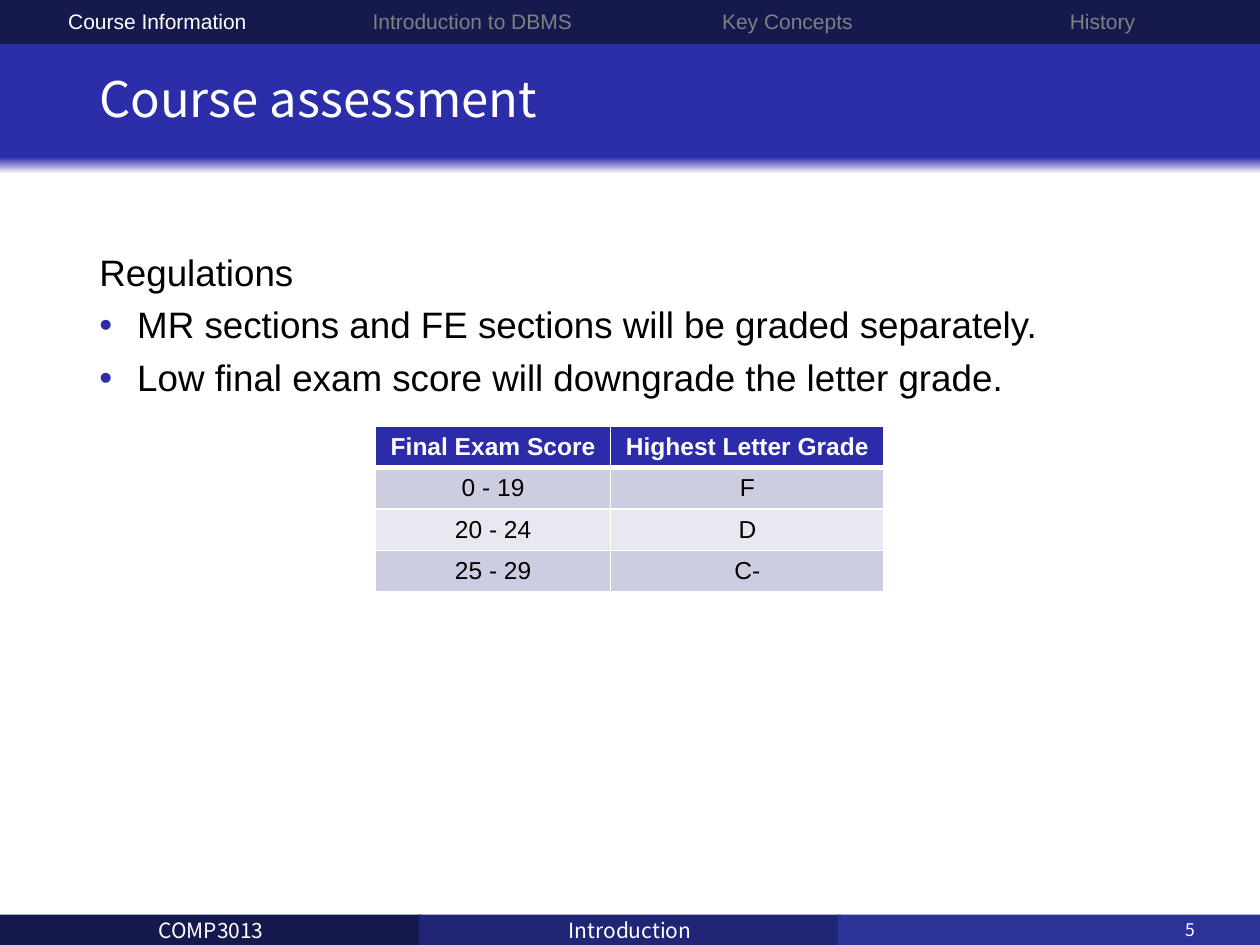
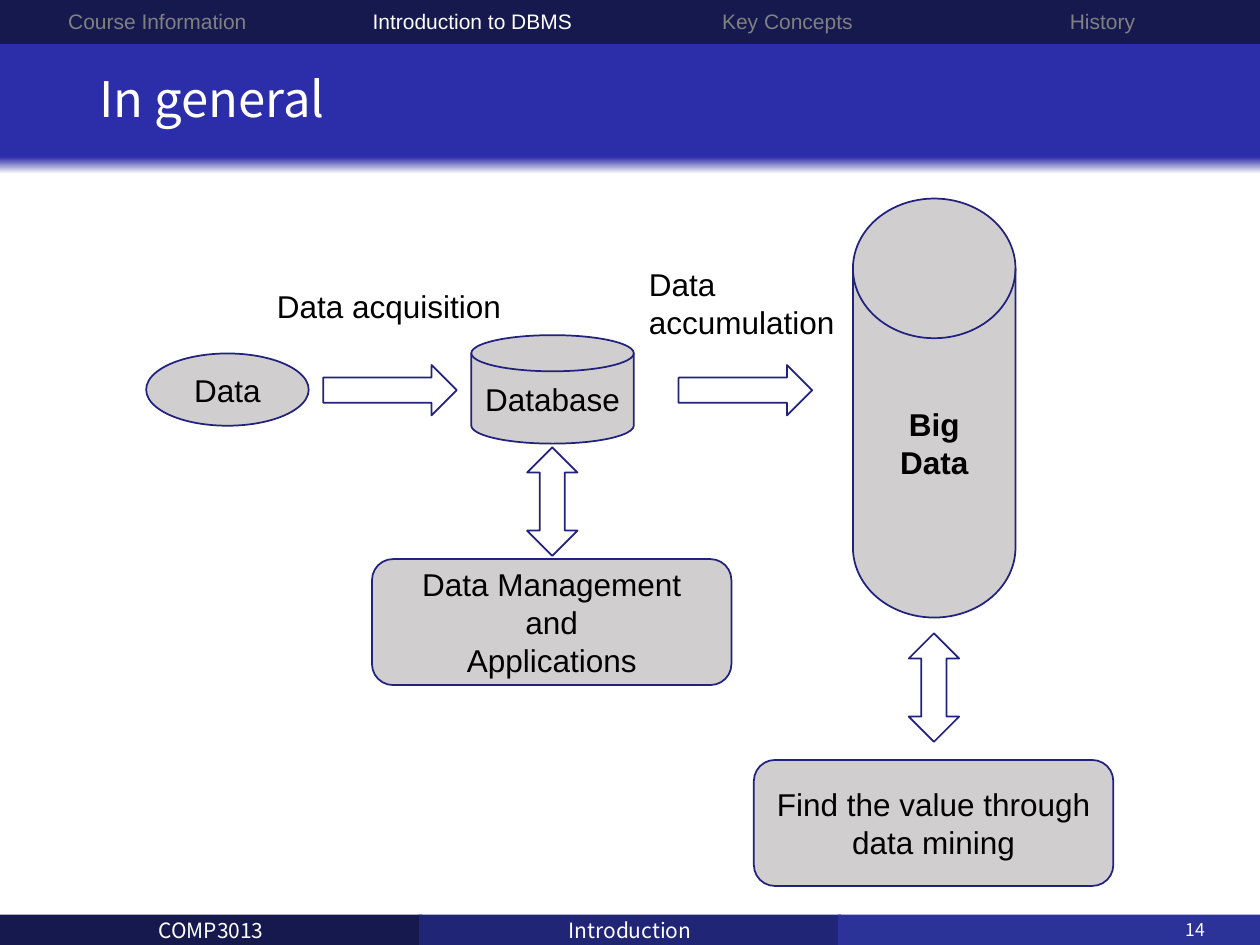
from lxml import etree
from pptx import Presentation
from pptx import util as u
from pptx.dml.color import RGBColor
from pptx.enum import shapes, text
from pptx.oxml import ns

Pt = u.Pt
SHAPE = shapes.MSO_SHAPE
ALIGN = text.PP_ALIGN
MIDDLE = text.MSO_ANCHOR.MIDDLE

WHITE = RGBColor(0xFF, 0xFF, 0xFF)
BLACK = RGBColor(0, 0, 0)
MUTED = RGBColor(0x80, 0x80, 0x80)
NAVY = RGBColor(0x16, 0x19, 0x4D)
INDIGO = RGBColor(0x21, 0x25, 0x75)
ROYAL = RGBColor(0x2B, 0x32, 0x98)
BAND = RGBColor(0x2C, 0x2D, 0xA9)
ACCENT = RGBColor(0x2C, 0x2C, 0xAA)
OUTLINE = RGBColor(0x21, 0x21, 0x7E)
GREY = RGBColor(0xD0, 0xCE, 0xCE)
ROW_DARK = RGBColor(0xCD, 0xCD, 0xE2)
ROW_LIGHT = RGBColor(0xE8, 0xE8, 0xF1)

WIDTH, HEIGHT = 720, 540
BODY_FONT = "Arial"
HEAD_FONT = "Noto Sans CJK SC"
NUMBER_FONT = "Noto Sans CJK JP"
SECTIONS = ["Course Information", "Introduction to DBMS", "Key Concepts", "History"]
FOOTERS = [("COMP3013", NAVY), ("Introduction", INDIGO), ("", ROYAL)]
FOOTER_TOP, FOOTER_HEIGHT = 522.7, 17.3


def add_element(parent, tag, **attributes):
    return etree.SubElement(parent, ns.qn(tag), attributes)


class SlideBuilder:
    """Holds the deck style and the slide being built."""

    def __init__(self, deck):
        self.deck = deck
        self.page = None

    def add_span(self, para, words, size, color=BLACK, font=BODY_FONT, bold=False):
        span = para.add_run()
        span.text = words
        span.font.size = Pt(size)
        span.font.name = font
        span.font.bold = bold
        span.font.color.rgb = color

    def fill_frame(self, frame, lines, size, align, wrap=True, **style):
        frame.word_wrap = wrap
        frame.vertical_anchor = MIDDLE
        for index, words in enumerate(lines):
            para = frame.add_paragraph() if index else frame.paragraphs[0]
            para.alignment = align
            self.add_span(para, words, size, **style)

    def shape(self, kind, left, top, width, height, fill=None, line=None,
              lines=(), size=18, wrap=True, **style):
        shape = self.page.shapes.add_shape(
            kind, Pt(left), Pt(top), Pt(width), Pt(height))
        shape.shadow.inherit = False
        if fill is not None:
            shape.fill.solid()
            shape.fill.fore_color.rgb = fill
        if line is None:
            shape.line.fill.background()
        else:
            shape.line.color.rgb = line
            shape.line.width = Pt(1)
        self.fill_frame(shape.text_frame, lines, size, ALIGN.CENTER, wrap, **style)
        return shape

    def label(self, left, top, width, height, lines, size=18, wrap=True, **style):
        box = self.page.shapes.add_textbox(Pt(left), Pt(top), Pt(width), Pt(height))
        self.fill_frame(box.text_frame, lines, size, ALIGN.LEFT, wrap, **style)
        return box

    def start_page(self, title, number, section):
        self.page = self.deck.slides.add_slide(self.deck.slide_layouts[6])
        # Footer strip
        for index, (words, color) in enumerate(FOOTERS):
            self.shape(SHAPE.RECTANGLE, index * 239.4, FOOTER_TOP, 241.2,
                       FOOTER_HEIGHT, color, lines=[words] if words else [],
                       size=12, color=WHITE, font=HEAD_FONT)
        self.label(670.3, FOOTER_TOP, 43.2, FOOTER_HEIGHT, [str(number)], 10,
                   color=WHITE, font=NUMBER_FONT)
        # Title band fading to white at its lower edge
        band = self.shape(SHAPE.RECTANGLE, 0, 25.2, WIDTH, 74.2)
        band.fill.gradient()
        band.fill.gradient_angle = 90
        for stop, (position, color) in zip(band.fill.gradient_stops,
                                           [(0, WHITE), (0.13, BAND)]):
            stop.position = position
            stop.color.rgb = color
        heading = self.label(49.7, 25.2, 620.6, 66.2, [title], 28,
                             color=WHITE, font=HEAD_FONT)
        heading.text_frame.paragraphs[0].line_spacing = 0.9
        # Section bar with the current section lit
        step = WIDTH / len(SECTIONS)
        for index, name in enumerate(SECTIONS):
            self.shape(SHAPE.RECTANGLE, index * step, 0, step, 24.5, NAVY, NAVY,
                       [name], 12, color=WHITE if name == section else MUTED)

    def bullet(self, para):
        properties = para._p.get_or_add_pPr()
        properties.set("marL", str(Pt(21.6)))
        properties.set("indent", str(-Pt(21.6)))
        color = add_element(properties, "a:buClr")
        add_element(color, "a:srgbClr", val=str(ACCENT))
        add_element(properties, "a:buFont", typeface=BODY_FONT)
        add_element(properties, "a:buChar", char="•")

    def bullet_list(self, left, top, width, height, heading, items):
        box = self.page.shapes.add_textbox(Pt(left), Pt(top), Pt(width), Pt(height))
        frame = box.text_frame
        frame.word_wrap = True
        for index, words in enumerate([heading, *items]):
            para = frame.add_paragraph() if index else frame.paragraphs[0]
            if index:
                self.bullet(para)
                para.space_before = Pt(7.5)
            para.line_spacing = 0.9
            self.add_span(para, words, 21)

    def cell_borders(self, cell, widths):
        properties = cell._tc.get_or_add_tcPr()
        for side, width in widths.items():
            line = add_element(properties, f"a:ln{side}", w=str(Pt(width)))
            fill = add_element(line, "a:solidFill")
            add_element(fill, "a:srgbClr", val=str(WHITE))

    def table(self, left, top, column_widths, row_height, rows):
        table = self.page.shapes.add_table(
            len(rows), len(column_widths), Pt(left), Pt(top),
            Pt(sum(column_widths)), Pt(row_height * len(rows))).table
        for column, width in zip(table.columns, column_widths):
            column.width = Pt(width)
        for r, values in enumerate(rows):
            table.rows[r].height = Pt(row_height)
            header = r == 0
            fill = ACCENT if header else (ROW_DARK if r % 2 else ROW_LIGHT)
            for c, words in enumerate(values):
                cell = table.cell(r, c)
                self.cell_borders(cell, {"L": 1, "R": 1, "T": 3 if r == 1 else 1,
                                         "B": 3 if header else 1})
                cell.fill.solid()
                cell.fill.fore_color.rgb = fill
                cell.margin_left = cell.margin_right = Pt(3.4)
                cell.margin_top = cell.margin_bottom = Pt(3.4)
                cell.vertical_anchor = MIDDLE
                para = cell.text_frame.paragraphs[0]
                para.alignment = ALIGN.CENTER
                self.add_span(para, words, 14, WHITE if header else BLACK,
                              bold=header)

    def node(self, kind, left, top, width, height, lines, **style):
        self.shape(kind, left, top, width, height, GREY, OUTLINE, lines, **style)

    def arrow(self, kind, left, top, width, rotation=0):
        arrow = self.shape(kind, left, top, width, 28.8, WHITE, OUTLINE)
        arrow.rotation = rotation

    def caption(self, left, top, width, height, lines):
        box = self.label(left, top, width, height, lines, wrap=False)
        box.text_frame.auto_size = text.MSO_AUTO_SIZE.SHAPE_TO_FIT_TEXT


def build_assessment(builder):
    builder.start_page("Course assessment", 5, "Course Information")
    builder.bullet_list(49.7, 141.8, 620.6, 257, "Regulations", [
        "MR sections and FE sections will be graded separately.",
        "Low final exam score will downgrade the letter grade."])
    builder.table(214.6, 243.7, [134.4, 156.2], 22.8, [
        ("Final Exam Score", "Highest Letter Grade"),
        ("0 - 19", "F"),
        ("20 - 24", "D"),
        ("25 - 29", "C-")])


def build_overview(builder):
    builder.start_page("In general", 14, "Introduction to DBMS")
    # Data stores
    disk = SHAPE.FLOWCHART_MAGNETIC_DISK
    builder.node(SHAPE.OVAL, 83.5, 202, 92.9, 41.3, ["Data"], wrap=False)
    builder.node(disk, 269.3, 191.5, 92.9, 62, ["Database"])
    builder.node(disk, 487.4, 113.5, 92.9, 239.4, ["Big", "Data"], bold=True)
    # Uses of the stores
    builder.node(SHAPE.ROUNDED_RECTANGLE, 212.6, 319.5, 205.4, 72,
                 ["Data Management", "and", "Applications"])
    builder.node(SHAPE.ROUNDED_RECTANGLE, 430.8, 434.3, 205.4, 72,
                 ["Find the value through data mining"])
    # Captions
    builder.caption(151.2, 160.6, 144, 28.8, ["Data acquisition"])
    builder.caption(363.7, 147.6, 121.7, 51, ["Data", "accumulation"])
    # Flow arrows
    for left in (184.7, 387.8):
        builder.arrow(SHAPE.RIGHT_ARROW, left, 208.6, 76.3)
    for left, top in ((284.6, 272.2), (502.7, 378.5)):
        builder.arrow(SHAPE.LEFT_RIGHT_ARROW, left, top, 62, rotation=270)


def main():
    deck = Presentation()
    deck.slide_width, deck.slide_height = Pt(WIDTH), Pt(HEIGHT)
    builder = SlideBuilder(deck)
    build_assessment(builder)
    build_overview(builder)
    deck.save("out.pptx")


if __name__ == "__main__":
    main()
